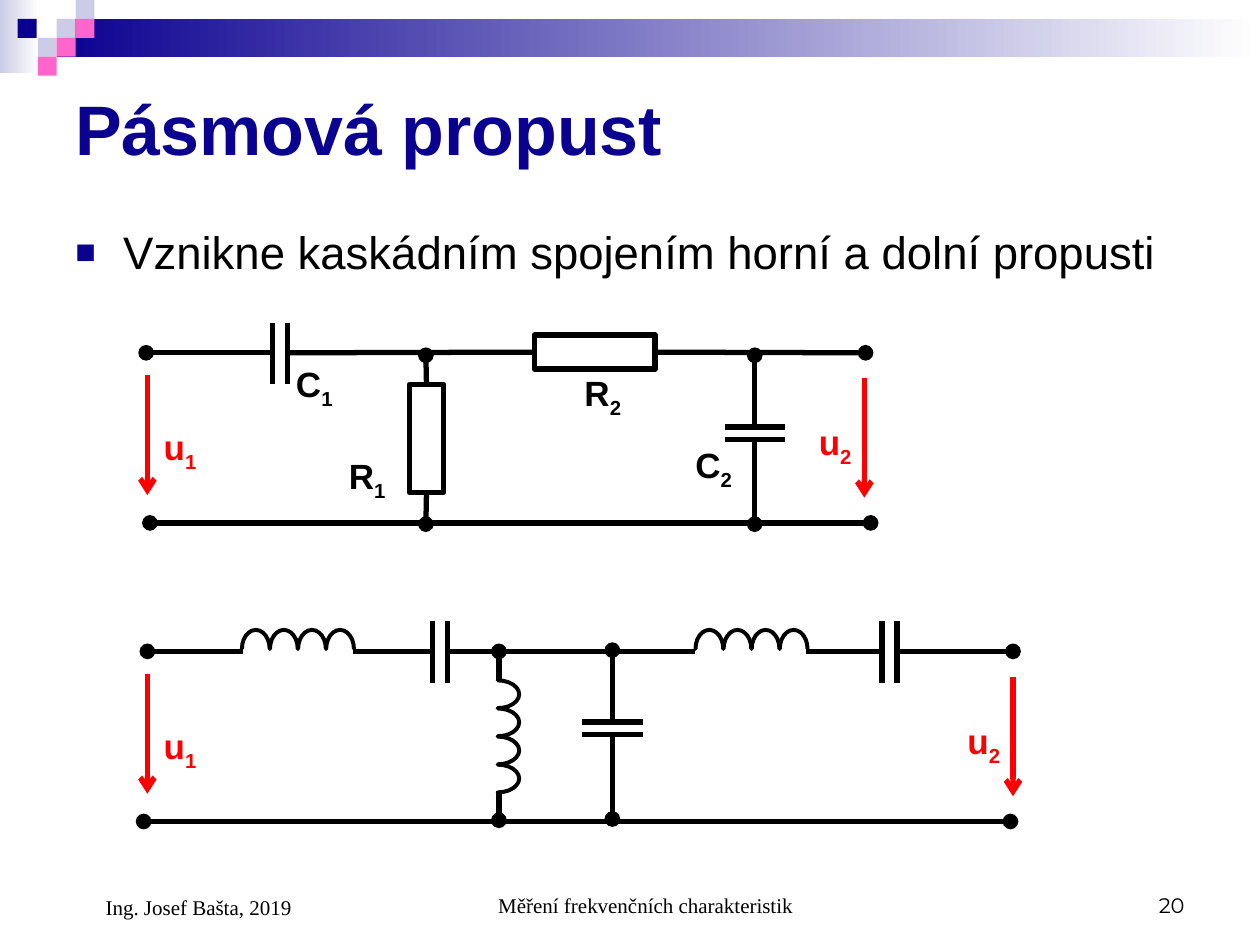
import lxml.etree
import pptx
import pptx.util
import pptx.dml.color
import pptx.enum.shapes
import pptx.enum.text
import pptx.oxml.ns

Inches, Pt = pptx.util.Inches, pptx.util.Pt
SHAPE = pptx.enum.shapes.MSO_SHAPE
ALIGN, ANCHOR = pptx.enum.text.PP_ALIGN, pptx.enum.text.MSO_ANCHOR

NAVY, PINK, LILAC, BLACK, RED = "0B0191", "FF66CC", "CCCCE6", "000000", "FF0000"
LABEL = {"name": "Arial", "size": Pt(20), "bold": True}
FOOTER = {"name": "Times New Roman", "size": Pt(12)}
RAIL, GROUND = 0.3, 1.65  # heights of the upper and lower wires in a circuit


def rgb(hex_color):
    return pptx.dml.color.RGBColor.from_string(hex_color)


def add_child(parent, tag, **attrs):
    el = lxml.etree.SubElement(parent, pptx.oxml.ns.qn(tag))
    for name, value in attrs.items():
        el.set(name, str(value))
    return el


def add_run(p, text, color, fmt):
    r = p.add_run()
    r.text = text
    r.font.color.rgb = rgb(color)
    for name, value in fmt.items():
        setattr(r.font, name, value)
    return r


def add_box(s, x, y, w, h, **frame):
    tf = s.shapes.add_textbox(Inches(x), Inches(y), Inches(w), Inches(h)).text_frame
    for name, value in {"word_wrap": True, **frame}.items():
        setattr(tf, name, value)
    return tf.paragraphs[0]


def add_outline(s, box, x, y, w, h, kind=SHAPE.RECTANGLE, width=3):
    sp = s.shapes.add_shape(kind, Inches(box[0] + x), Inches(box[1] + y),
                            Inches(w), Inches(h))
    sp.shadow.inherit = False
    sp.fill.background()
    sp.line.color.rgb = rgb(BLACK)
    sp.line.width = Pt(width)
    return sp


def wire(s, box, x1, y1, x2, y2, color=BLACK, head=None, tail=None):
    cx, cy = box
    c = s.shapes.add_connector(pptx.enum.shapes.MSO_CONNECTOR.STRAIGHT,
                               Inches(cx + x1), Inches(cy + y1),
                               Inches(cx + x2), Inches(cy + y2))
    c.line.color.rgb = rgb(color)
    c.line.width = Pt(3)
    for tag, end in (("a:headEnd", head), ("a:tailEnd", tail)):
        if end:
            add_child(c.line._get_or_add_ln(), tag, type=end)
    add_child(c._element.spPr, "a:effectLst")
    return c


def label(s, box, x, y, letter, index, color=BLACK, w=0.59):
    p = add_box(s, box[0] + x, box[1] + y, w, 0.48,
                auto_size=pptx.enum.text.MSO_AUTO_SIZE.SHAPE_TO_FIT_TEXT)
    add_run(p, letter, color, LABEL)
    sub = add_run(p, index, color, LABEL)
    sub.font._element.set("baseline", "-25000")


def series_capacitor(s, box, x):
    for plate in (x - 0.06, x + 0.06):
        wire(s, box, plate, RAIL - 0.24, plate, RAIL + 0.25)


def shunt_capacitor(s, box, x, top):
    wire(s, box, x, top + 0.55, x, top, tail="oval")
    for plate in (top + 0.57, top + 0.67):
        wire(s, box, x - 0.24, plate, x + 0.24, plate)
    wire(s, box, x, top + 1.34, x, top + 0.67, head="oval")


def coil(s, box, x, y, vertical=False):
    """Four half turns whose first centre is at x, y."""
    w, h = 0.22, 0.34 if vertical else 0.3
    for i in range(4):
        step = 0.223 * i
        cx, cy = (x, y + step) if vertical else (x + step, y)
        sp = add_outline(s, box, cx - w / 2, cy - h / 2, w, h, SHAPE.BLOCK_ARC, 2.25)
        for k, value in enumerate((107.89, 0.11, 0)):
            sp.adjustments[k] = value
        sp.rotation = 90 if vertical else 0


def ports(s, box, right):
    """Voltage arrows with labels at the input and the output."""
    for x, y, dx, dy, index in ((0.07, 0.48, 0.03, 0.35, "1"),
                                (right, 0.5, -0.46, 0.29, "2")):
        wire(s, box, x, y, x, y + 0.95, RED, tail="arrow")
        label(s, box, x + dx, y + dy, "u", index, RED, 0.55)


def rc_circuit(s, box):
    ports(s, box, 5.76)
    r1 = add_outline(s, box, 2.15, 0.55, 0.27, 0.86)
    r2 = add_outline(s, box, 3.14, 0.16, 0.96, 0.27)
    # Upper wire
    wire(s, box, 1.05, RAIL, 0.06, RAIL, tail="oval")
    series_capacitor(s, box, 1.12)
    wire(s, box, 1.19, RAIL, 3.14, RAIL).end_connect(r2, 1)
    wire(s, box, 5.77, RAIL, 4.1, RAIL, head="oval").end_connect(r2, 3)
    # Branches to the lower wire
    wire(s, box, 2.28, 1.66, 2.28, 1.41, head="oval").end_connect(r1, 2)
    wire(s, box, 2.28, 0.55, 2.28, 0.32, tail="oval").begin_connect(r1, 0)
    shunt_capacitor(s, box, 4.89, 0.32)
    wire(s, box, 5.81, GROUND, 0.09, GROUND, head="oval", tail="oval")
    for x, y, letter, index in ((1.15, 0.33, "C", "1"), (1.57, 1.06, "R", "1"),
                                (3.44, 0.4, "R", "2"), (4.32, 0.97, "C", "2")):
        label(s, box, x, y, letter, index)


def lc_circuit(s, box):
    ports(s, box, 6.94)
    # Upper wire
    wire(s, box, 0.83, RAIL, 0.07, RAIL, tail="oval")
    wire(s, box, 2.44, RAIL, 4.42, RAIL)
    wire(s, box, 6.94, RAIL, 6.03, RAIL, head="oval")
    for x in (0.82, 4.42):
        coil(s, box, x + 0.11, 0.28)
        wire(s, box, x + 0.88, RAIL, x + 1.5, RAIL)
    for x in (2.39, 5.96):
        series_capacitor(s, box, x)
    # Branches to the lower wire
    wire(s, box, 2.86, 0.53, 2.86, RAIL, tail="oval")
    coil(s, box, 2.85, 0.64, vertical=True)
    wire(s, box, 2.86, 1.64, 2.86, 1.41, head="oval")
    shunt_capacitor(s, box, 3.76, 0.29)
    wire(s, box, 6.92, GROUND, 0.04, GROUND, head="oval", tail="oval")


def banner(s, box):
    def block(x, y, w, h, color, fade=False):
        sp = s.shapes.add_shape(SHAPE.RECTANGLE, Inches(box[0] + x), Inches(box[1] + y),
                                Inches(w), Inches(h))
        sp.shadow.inherit = False
        sp.line.fill.background()
        if fade:
            sp.fill.gradient()
            sp.fill.gradient_angle = 180
            for stop, pos, c in zip(sp.fill.gradient_stops, (0, 1), ("FFFFFF", color)):
                stop.position = pos
                stop.color.rgb = rgb(c)
        else:
            sp.fill.solid()
            sp.fill.fore_color.rgb = rgb(color)

    block(0, 0, 0.31, 0.58, LILAC, fade=True)
    block(0.45, 0.15, 9.55, 0.3, NAVY, fade=True)
    for x, y, color in ((0.45, 0.15, LILAC), (0.6, 0, LILAC), (0.6, 0.15, PINK),
                        (0.3, 0.3, LILAC), (0.14, 0.15, NAVY), (0.45, 0.3, PINK),
                        (0.3, 0.45, PINK)):
        block(x, y, 0.15, 0.15, color)


def heading(s, x, y, w):
    p = add_box(s, x, y, w, 1.03, vertical_anchor=ANCHOR.MIDDLE)
    add_run(p, "Pásmová propust", NAVY, {**LABEL, "size": Pt(40)})
    # Bulleted statement
    p = add_box(s, x, y + 1.23, w, 0.75)
    pPr = p._p.get_or_add_pPr()
    pPr.set("marL", str(Inches(0.38)))
    pPr.set("indent", str(Inches(-0.38)))
    add_child(add_child(pPr, "a:buClr"), "a:srgbClr", val=NAVY)
    add_child(pPr, "a:buSzPct", val=75000)
    add_child(pPr, "a:buFont", typeface="Arial")
    add_child(pPr, "a:buChar", char="■")
    add_run(p, "Vznikne kaskádním spojením horní a dolní propusti", BLACK,
            {"name": "Arial", "size": Pt(26)})


def footer(s, x, y):
    for dx, w, h, text, align, indent, font in (
            (0, 2.33, 0.52, "Ing. Josef Bašta, 2019", ALIGN.LEFT, 0.24, FOOTER["name"]),
            (2.92, 3.17, 0.5, "Měření frekvenčních charakteristik", ALIGN.CENTER, 0.24,
             FOOTER["name"]),
            (6.67, 2.33, 0.5, "20", ALIGN.RIGHT, 0, "Montserrat")):
        p = add_box(s, x + dx, y, w, h, vertical_anchor=ANCHOR.BOTTOM)
        p.alignment = align
        p._p.get_or_add_pPr().set("marL", str(Inches(indent)))
        add_run(p, text, BLACK, {**FOOTER, "name": font})


def main():
    prs = pptx.Presentation()
    prs.slide_width, prs.slide_height = Inches(10), Inches(7.5)
    s = prs.slides.add_slide(prs.slide_layouts[6])
    banner(s, (0, 0))
    heading(s, 0.5, 0.5, 9)
    rc_circuit(s, (1.1, 2.5))
    lc_circuit(s, (1.1, 4.87))
    footer(s, 0.5, 6.83)
    prs.save("out.pptx")


if __name__ == "__main__":
    main()
